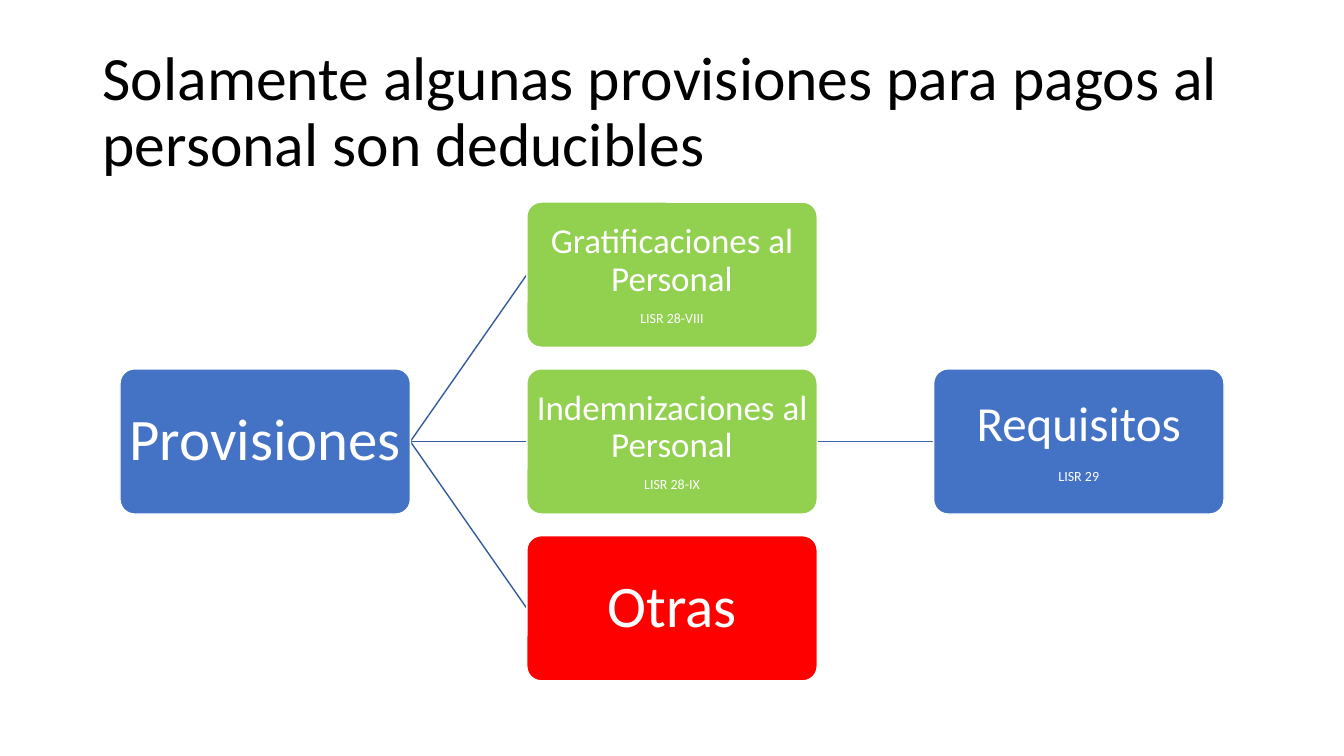
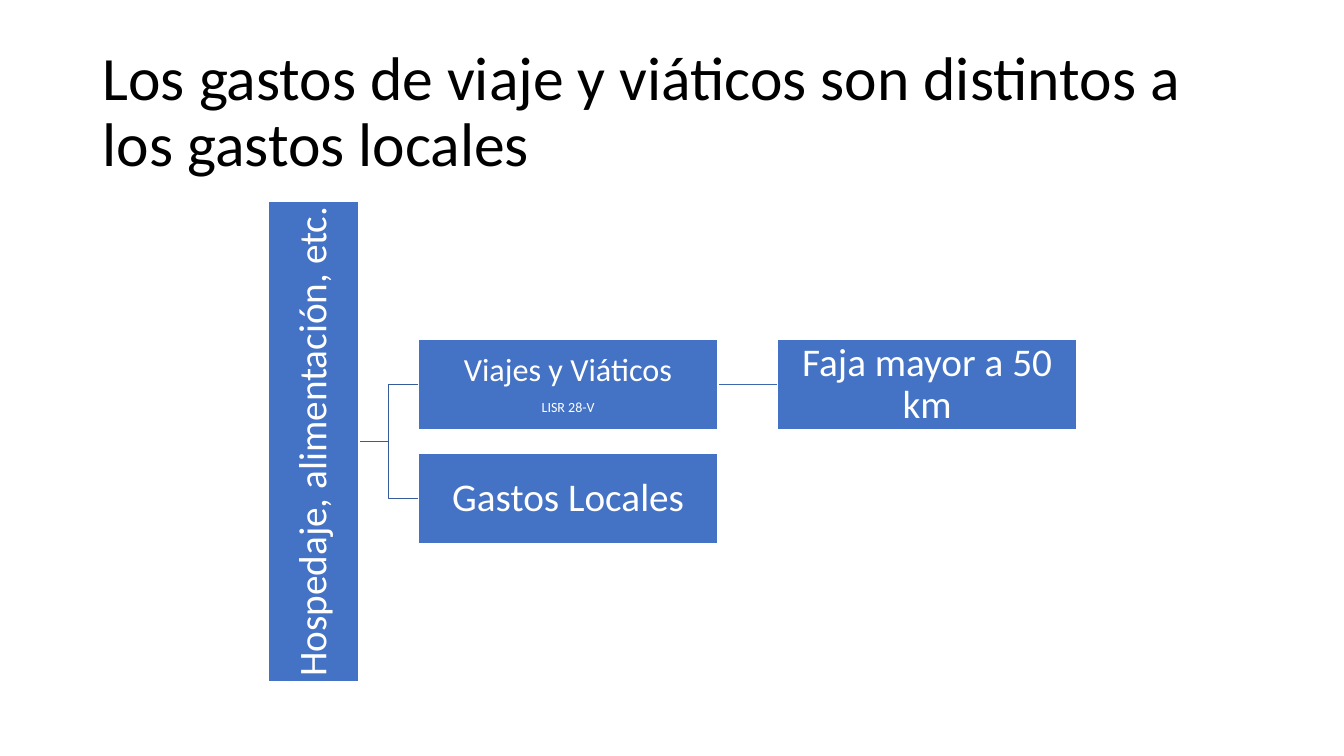
from dataclasses import dataclass

from pptx import Presentation
from pptx import util as u
from pptx.dml.color import RGBColor
from pptx.enum import shapes, text
from pptx.oxml import ns, xmlchemy

FONT = "Calibri"
BLACK, WHITE = "000000", "FFFFFF"
BLUE, GREEN, RED = "4472C4", "92D050", "FF0000"
FIRST_LINK, SECOND_LINK = "365B9D", "3E67B2"
LINE_SPACING = 0.9
NOTE_SIZE = 10
CORNER = 0.1
MIDDLE = 4.38  # vertical centre of both diagrams, in inches
BAR_LENGTH = 4.76


@dataclass(frozen=True)
class Grid:
    """Node size, first column and pitches in inches; row 0 lies on MIDDLE."""
    left: float
    width: float
    height: float
    column_pitch: float
    row_pitch: float


@dataclass(frozen=True)
class Node:
    column: int
    row: float
    label: str
    size: int
    note: str = ""
    fill: str = BLUE
    upright: bool = False

    def left(self, grid: Grid) -> float:
        """An upright bar is narrow and keeps to the right of its column."""
        start = grid.left + self.column * grid.column_pitch
        return start + grid.width - grid.height if self.upright else start

    def right(self, grid: Grid) -> float:
        return grid.left + self.column * grid.column_pitch + grid.width

    def middle(self, grid: Grid) -> float:
        return MIDDLE + self.row * grid.row_pitch


@dataclass(frozen=True)
class Link:
    start: int
    end: int
    colour: str = FIRST_LINK


@dataclass(frozen=True)
class Diagram:
    title: str
    grid: Grid
    nodes: tuple[Node, ...]
    links: tuple[Link, ...]
    outline: shapes.MSO_SHAPE
    route: shapes.MSO_CONNECTOR


PROVISIONS = Diagram(
    "Solamente algunas provisiones para pagos al personal son deducibles",
    Grid(left=1.19, width=2.88, height=1.44, column_pitch=4.035, row_pitch=1.655),
    (
        Node(0, 0, "Provisiones", 42),
        Node(1, -1, "Gratificaciones al Personal", 25, "LISR 28-VIII", GREEN),
        Node(1, 0, "Indemnizaciones al Personal", 25, "LISR 28-IX", GREEN),
        Node(1, 1, "Otras", 42, fill=RED),
        Node(2, 0, "Requisitos", 35, "LISR 29"),
    ),
    (Link(0, 1), Link(0, 2), Link(0, 3), Link(2, 4, SECOND_LINK)),
    shapes.MSO_SHAPE.ROUNDED_RECTANGLE,
    shapes.MSO_CONNECTOR.STRAIGHT,
)

EXPENSES = Diagram(
    "Los gastos de viaje y viáticos son distintos a los gastos locales",
    Grid(left=0.59, width=2.97, height=0.9, column_pitch=3.56, row_pitch=1.13),
    (
        Node(0, 0, "Hospedaje, alimentación, etc.", 28, upright=True),
        Node(1, -0.5, "Viajes y Viáticos", 23, "LISR 28-V"),
        Node(1, 0.5, "Gastos Locales", 28),
        Node(2, -0.5, "Faja mayor a 50 km", 28),
    ),
    (Link(0, 1), Link(0, 2), Link(1, 3, SECOND_LINK)),
    shapes.MSO_SHAPE.RECTANGLE,
    shapes.MSO_CONNECTOR.ELBOW,
)


def colour(hex_code: str) -> RGBColor:
    return RGBColor.from_string(hex_code)


def style(paragraph, size: float, hex_code: str) -> None:
    paragraph.line_spacing = LINE_SPACING
    paragraph.font.name = FONT
    paragraph.font.size = u.Pt(size)
    paragraph.font.color.rgb = colour(hex_code)


def add_title(slide, title: str) -> None:
    box = slide.shapes.add_textbox(*map(u.Inches, (0.92, 0.4, 11.5, 1.45)))
    frame = box.text_frame
    frame.word_wrap = True
    frame.vertical_anchor = text.MSO_ANCHOR.MIDDLE
    frame.text = title
    style(frame.paragraphs[0], 44, BLACK)


def add_link(slide, diagram: Diagram, link: Link) -> None:
    grid = diagram.grid
    start, end = diagram.nodes[link.start], diagram.nodes[link.end]
    ends = (start.right(grid), start.middle(grid), end.left(grid), end.middle(grid))
    is_level = start.row == end.row
    route = shapes.MSO_CONNECTOR.STRAIGHT if is_level else diagram.route
    connector = slide.shapes.add_connector(route, *map(u.Inches, ends))
    connector.line.color.rgb = colour(link.colour)
    connector.line.width = u.Pt(1)
    connector._element.spPr.append(xmlchemy.OxmlElement("a:effectLst"))


def add_node(slide, diagram: Diagram, node: Node) -> None:
    grid = diagram.grid
    width = BAR_LENGTH if node.upright else grid.width
    centre = (node.left(grid) + node.right(grid)) / 2
    place = (centre - width / 2, node.middle(grid) - grid.height / 2, width, grid.height)
    shape = slide.shapes.add_shape(diagram.outline, *map(u.Inches, place))
    if diagram.outline == shapes.MSO_SHAPE.ROUNDED_RECTANGLE:
        shape.adjustments[0] = CORNER
    if node.upright:
        shape.rotation = 270
    shape.shadow.inherit = False
    shape.fill.solid()
    shape.fill.fore_color.rgb = colour(node.fill)
    shape.line.color.rgb = colour(WHITE)
    shape.line.width = u.Pt(1)

    frame = shape.text_frame
    frame.word_wrap = True
    frame.vertical_anchor = text.MSO_ANCHOR.MIDDLE
    frame.margin_left = frame.margin_right = u.Inches(0.02)
    frame.margin_top = frame.margin_bottom = u.Inches(0.02)
    frame.text = f"{node.label}\n{node.note}" if node.note else node.label
    for paragraph, size in zip(frame.paragraphs, (node.size, NOTE_SIZE)):
        paragraph.alignment = text.PP_ALIGN.CENTER
        paragraph.space_after = u.Pt(0.35 * size)
        style(paragraph, size, WHITE)


def add_diagram_slide(deck, diagram: Diagram) -> None:
    slide = deck.slides.add_slide(deck.slide_layouts[6])
    add_title(slide, diagram.title)
    for link in diagram.links:
        add_link(slide, diagram, link)
    for node in diagram.nodes:
        add_node(slide, diagram, node)


def main() -> None:
    deck = Presentation()
    deck.slide_width, deck.slide_height = u.Inches(13.33), u.Inches(7.5)
    for diagram in (PROVISIONS, EXPENSES):
        add_diagram_slide(deck, diagram)
    deck.save("out.pptx")


if __name__ == "__main__":
    main()
